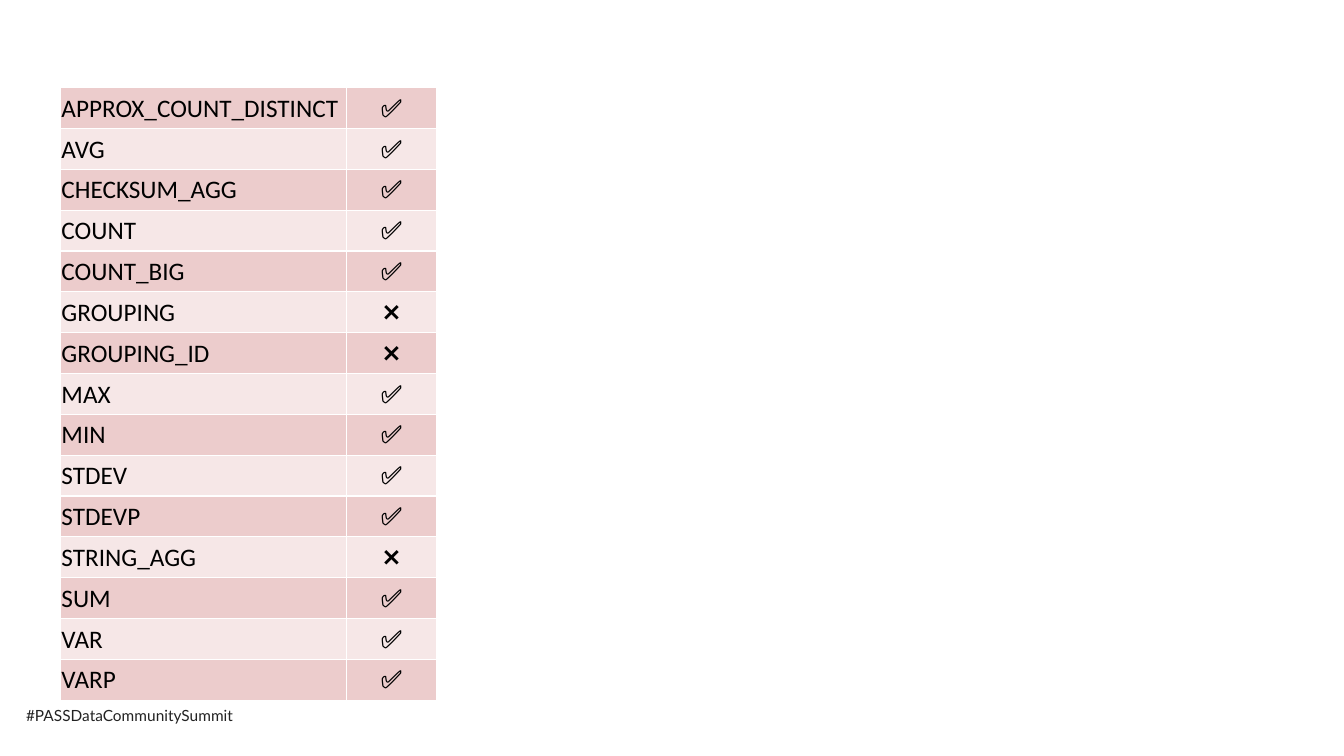
from dataclasses import dataclass

from lxml import etree
from pptx import Presentation
from pptx.dml.color import RGBColor
from pptx.enum.text import MSO_ANCHOR, MSO_AUTO_SIZE, PP_ALIGN
from pptx.oxml.ns import qn
from pptx.util import Inches, Pt

LEFT, CENTER = PP_ALIGN.LEFT, PP_ALIGN.CENTER
MIDDLE = MSO_ANCHOR.MIDDLE
GROW = MSO_AUTO_SIZE.SHAPE_TO_FIT_TEXT


@dataclass(frozen=True)
class Theme:
    ink: str = "000000"
    tag: str = "222222"
    rule: str = "FFFFFF"
    bands: tuple = ("ECCCCC", "F6E7E7")
    body: str = "Calibri"
    foot: str = "Lato"
    body_size: int = 18
    foot_size: int = 11
    rule_width: int = 1


class Deck:
    def __init__(self, theme):
        self.theme = theme
        self.prs = Presentation()
        self.prs.slide_width = Inches(13.33)
        self.prs.slide_height = Inches(7.5)
        self.slide = self.prs.slides.add_slide(self.prs.slide_layouts[6])

    def style(self, para, text, face, size, color, align=LEFT):
        para.text = text
        para.alignment = align
        para.font.name = face
        para.font.size = Pt(size)
        para.font.color.rgb = RGBColor.from_string(color)

    def label(self, text, left, top, width, height):
        box = self.slide.shapes.add_textbox(
            Inches(left), Inches(top), Inches(width), Inches(height))
        frame = box.text_frame
        frame.word_wrap = False
        frame.auto_size = GROW
        look = self.theme
        self.style(frame.paragraphs[0], text, look.foot, look.foot_size, look.tag)

    def border(self, cell):
        props = cell._tc.get_or_add_tcPr()
        for side in ("a:lnL", "a:lnR", "a:lnT", "a:lnB"):
            line = etree.SubElement(props, qn(side), w=str(Pt(self.theme.rule_width)))
            fill = etree.SubElement(line, qn("a:solidFill"))
            etree.SubElement(fill, qn("a:srgbClr"), val=self.theme.rule)

    def cell(self, cell, text, band, align):
        look = self.theme
        cell.margin_left = cell.margin_right = cell.margin_top = Inches(0.01)
        cell.margin_bottom = 0
        cell.vertical_anchor = MIDDLE
        self.border(cell)
        cell.fill.solid()
        cell.fill.fore_color.rgb = RGBColor.from_string(band)
        self.style(cell.text_frame.paragraphs[0], text, look.body,
                   look.body_size, look.ink, align)

    def table(self, rows, left, top, widths, height):
        table = self.slide.shapes.add_table(
            len(rows), len(widths), Inches(left), Inches(top),
            Inches(sum(widths)), Inches(height)).table
        table.first_row = table.horz_banding = False
        for col, width in zip(table.columns, widths):
            col.width = Inches(width)
        bands = self.theme.bands
        for r, row in enumerate(rows):
            for c, text in enumerate(row):
                self.cell(table.cell(r, c), text, bands[r % len(bands)],
                          CENTER if c else LEFT)


NAMES = (
    "APPROX_COUNT_DISTINCT", "AVG", "CHECKSUM_AGG", "COUNT", "COUNT_BIG",
    "GROUPING", "GROUPING_ID", "MAX", "MIN", "STDEV", "STDEVP",
    "STRING_AGG", "SUM", "VAR", "VARP",
)
BARRED = {"GROUPING", "GROUPING_ID", "STRING_AGG"}


def main():
    deck = Deck(Theme())

    # Footer hashtag
    deck.label("#PASSDataCommunitySummit", 0.16, 6.96, 2.34, 0.29)

    # Aggregate functions and their support
    rows = [(name, "❌" if name in BARRED else "✅") for name in NAMES]
    deck.table(rows, 0.6, 0.87, (2.84, 0.89), 6.08)

    deck.prs.save("out.pptx")


if __name__ == "__main__":
    main()
